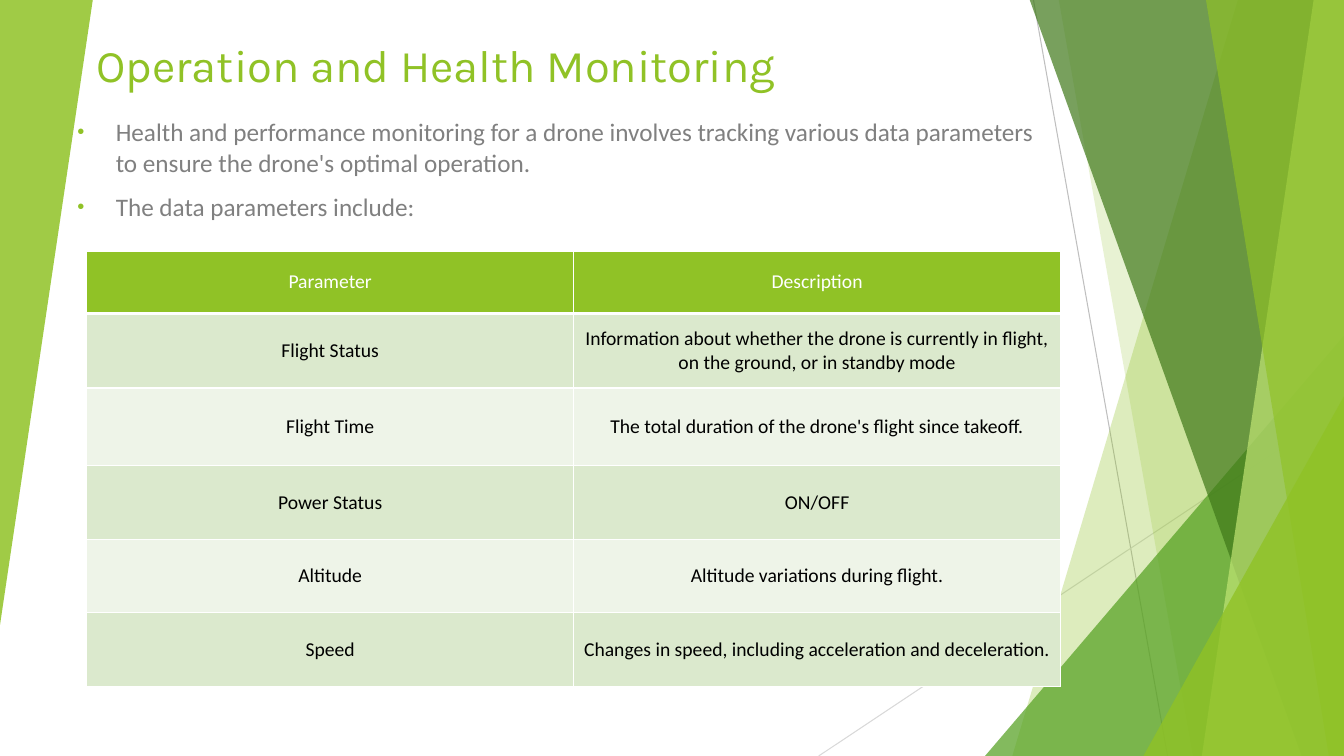
from lxml.etree import SubElement
from pptx import Presentation
from pptx.dml.color import RGBColor
from pptx.enum.shapes import MSO_CONNECTOR, MSO_SHAPE
from pptx.enum.text import MSO_ANCHOR, PP_ALIGN
from pptx.oxml.ns import qn
from pptx.util import Inches, Pt

COLORS = {
    "lime": "90C226", "green": "54A021", "forest": "3F7819", "pale": "C0E474",
    "silver": "BFBFBF", "mist": "D9D9D9", "gray": "808080",
    "white": "FFFFFF", "black": "000000", "band": "DBE9CD", "light": "EEF4E8",
}
WIDTH, HEIGHT = 13.33, 7.5
POINTS = [
    "Health and performance monitoring for a drone involves tracking various data "
    "parameters to ensure the drone's optimal operation.",
    "The data parameters include:",
]
ROWS = [
    ("Parameter", "Description"),
    ("Flight Status", "Information about whether the drone is currently in flight, "
                      "on the ground, or in standby mode"),
    ("Flight Time", "The total duration of the drone's flight since takeoff."),
    ("Power Status", "ON/OFF"),
    ("Altitude", "Altitude variations during flight."),
    ("Speed", "Changes in speed, including acceleration and deceleration."),
]
HEIGHTS = [0.62, 0.74, 0.77, 0.73, 0.73, 0.73]


class Deck:
    def __init__(self, slide):
        self.shapes = slide.shapes
        self.body = "Calibri"
        self.head = "Karla"

    def color(self, name):
        return RGBColor.from_string(COLORS[name])

    def paint(self, shape, name, alpha):
        shape.shadow.inherit = False
        shape.fill.solid()
        shape.fill.fore_color.rgb = self.color(name)
        shape.line.fill.background()
        tint = shape.fill._xPr.find(qn("a:solidFill"))[0]
        SubElement(tint, qn("a:alpha"), val=str(alpha * 1000))

    def line(self, start, end, name):
        ends = [Inches(v) for v in start + end]
        line = self.shapes.add_connector(MSO_CONNECTOR.STRAIGHT, *ends)
        line.line.color.rgb = self.color(name)
        line.line.width = Pt(0.75)
        SubElement(line._element.spPr, qn("a:effectLst"))

    def panel(self, top, bottom, name, alpha):
        corners = [(top, -0.01), (WIDTH, -0.01), (WIDTH, HEIGHT), (bottom, HEIGHT)]
        first, *rest = [(Inches(x), Inches(y)) for x, y in corners]
        outline = self.shapes.build_freeform(*first)
        outline.add_line_segments(rest, close=True)
        self.paint(outline.convert_to_shape(), name, alpha)

    def wedge(self, box, name, alpha, turn=0):
        shape = self.shapes.add_shape(
            MSO_SHAPE.ISOSCELES_TRIANGLE, *[Inches(v) for v in box])
        shape.adjustments[0] = 1
        shape.rotation = turn
        self.paint(shape, name, alpha)

    def style(self, para, size, name, font):
        for run in para.runs:
            run.font.size = Pt(size)
            run.font.name = font
            run.font.bold = False
            run.font.color.rgb = self.color(name)

    def text(self, box, text):
        frame = self.shapes.add_textbox(*[Inches(v) for v in box]).text_frame
        frame.word_wrap = True
        frame.text = text
        return frame

    def title(self, box, text):
        frame = self.text(box, text)
        frame.vertical_anchor = MSO_ANCHOR.BOTTOM
        self.style(frame.paragraphs[0], 32.4, "lime", self.head)

    def bullets(self, box, items):
        frame = self.text(box, "\n".join(items))
        for index, para in enumerate(frame.paragraphs):
            if index:
                para.space_before = Pt(10)
            props = para._p.get_or_add_pPr()
            props.set("marL", str(Inches(0.38)))
            props.set("indent", str(Inches(-0.38)))
            tint = SubElement(props, qn("a:buClr"))
            SubElement(tint, qn("a:srgbClr"), val=COLORS["lime"])
            SubElement(props, qn("a:buSzPct"), val="80000")
            SubElement(props, qn("a:buFont"), typeface="Arial")
            SubElement(props, qn("a:buChar"), char="•")
            self.style(para, 18, "gray", self.body)

    def cell(self, cell, text, row):
        props = cell._tc.get_or_add_tcPr()
        for side in "LRTB":
            thick = 3 if (row, side) in ((0, "B"), (1, "T")) else 1
            edge = SubElement(props, qn("a:ln" + side), w=str(Pt(thick)))
            fill = SubElement(edge, qn("a:solidFill"))
            SubElement(fill, qn("a:srgbClr"), val=COLORS["white"])
        cell.fill.solid()
        shade = "band" if row % 2 else "light"
        cell.fill.fore_color.rgb = self.color(shade if row else "lime")
        cell.vertical_anchor = MSO_ANCHOR.MIDDLE
        cell.text_frame.text = text
        para = cell.text_frame.paragraphs[0]
        para.alignment = PP_ALIGN.CENTER
        self.style(para, 14, "black" if row else "white", self.body)

    def table(self, left, top, width, heights, rows):
        box = [Inches(v) for v in (left, top, width, sum(heights))]
        table = self.shapes.add_table(len(rows), len(rows[0]), *box).table
        for column in table.columns:
            column.width = Inches(width / len(rows[0]))
        for row, (height, texts) in enumerate(zip(heights, rows)):
            table.rows[row].height = Inches(height)
            for col, text in enumerate(texts):
                self.cell(table.cell(row, col), text, row)


def main():
    prs = Presentation()
    prs.slide_width, prs.slide_height = Inches(WIDTH), Inches(HEIGHT)
    deck = Deck(prs.slides.add_slide(prs.slide_layouts[6]))
    deck.line((10.25, 0), (11.58, HEIGHT), "silver")
    deck.line((WIDTH, 4.03), (8.12, HEIGHT), "mist")
    deck.panel(12.28, 10.04, "lime", 30)
    deck.panel(10.5, 11.83, "lime", 20)
    deck.wedge((9.77, 3.33, 3.56, 4.17), "green", 72)
    deck.panel(10.21, 12.91, "forest", 70)
    deck.panel(13.03, 11.92, "pale", 70)
    deck.panel(11.96, 13.18, "lime", 65)
    deck.wedge((11.34, 3.93, 1.99, 3.57), "lime", 80)
    deck.wedge((0, 0, 0.92, 6.2), "lime", 85, 180)
    deck.title((0.86, 0.3, 9.06, 0.66), "Operation and Health Monitoring")
    deck.bullets((0.67, 1.11, 9.85, 2.8), POINTS)
    deck.table(0.86, 2.49, 9.66, HEIGHTS, ROWS)
    prs.save("out.pptx")


if __name__ == "__main__":
    main()
